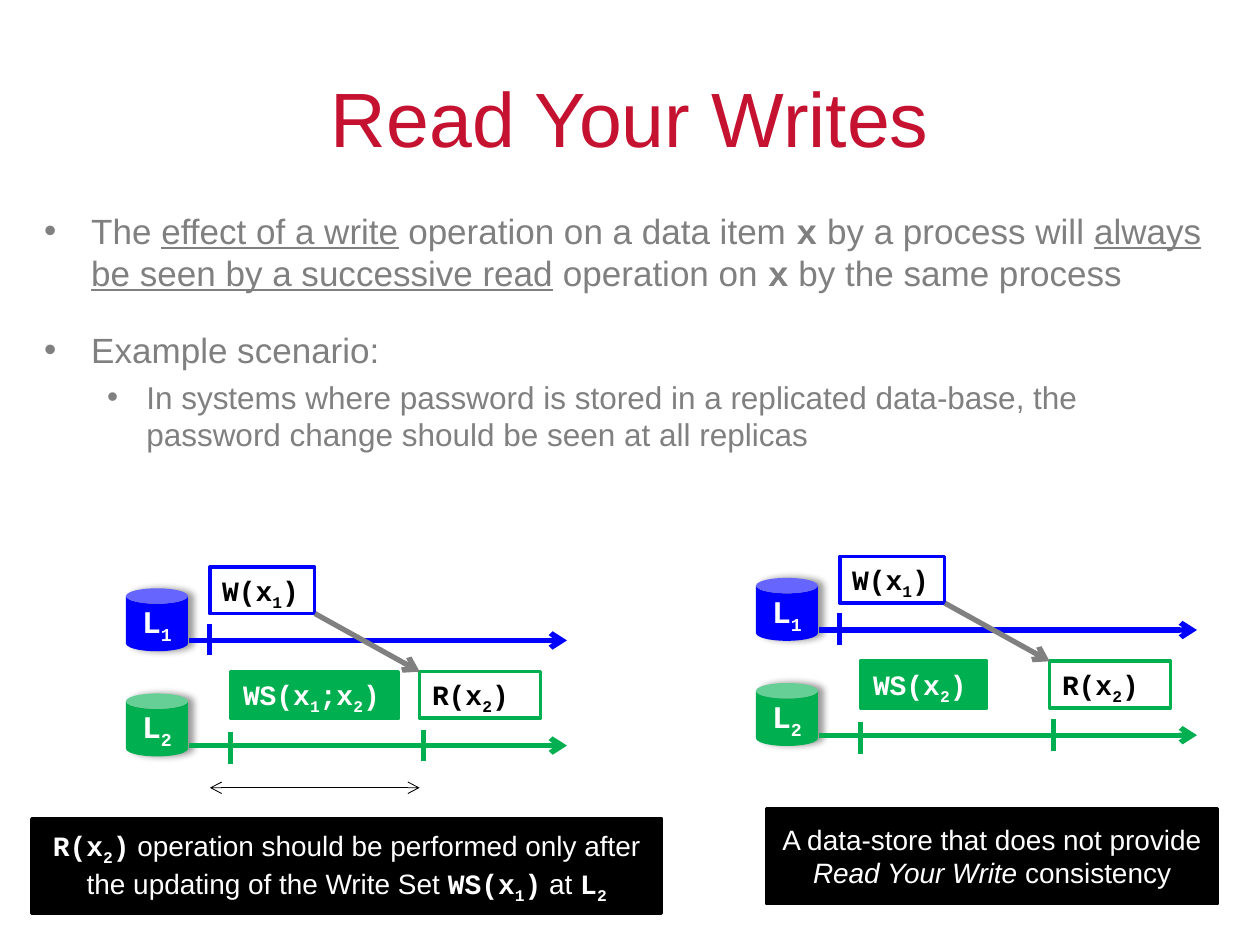
from lxml import etree
from pptx import Presentation
from pptx import util as u
from pptx.dml.color import RGBColor
from pptx.enum import shapes, text
from pptx.oxml import parse_xml
from pptx.oxml.ns import nsdecls, qn

RED = RGBColor(0xC4, 0x12, 0x30)
GRAY = RGBColor(0x80, 0x80, 0x80)
BLUE = RGBColor(0x00, 0x00, 0xFF)
GREEN = RGBColor(0x00, 0xB0, 0x50)
BLACK = RGBColor(0x00, 0x00, 0x00)
WHITE = RGBColor(0xFF, 0xFF, 0xFF)
SANS, MONO = "Arial", "Courier New"


def add_text(paragraph, content, size=16, color=BLACK, font=SANS, bold=False,
             italic=False, underline=False):
    """Add runs to a paragraph; an underscore makes the next character a subscript."""
    def add_run(part, subscript=False):
        if not part:
            return
        run = paragraph.add_run()
        run.text = part
        run.font.size = u.Pt(size)
        run.font.name = font
        run.font.bold = bold
        run.font.italic = italic
        run.font.underline = underline
        run.font.color.rgb = color
        if subscript:
            run._r.get_or_add_rPr().set("baseline", "-25000")

    first, *others = content.split("_")
    add_run(first)
    for other in others:
        add_run(other[0], subscript=True)
        add_run(other[1:])


def add_code(paragraph, content, **style):
    """Add bold monospaced text."""
    add_text(paragraph, content, font=MONO, bold=True, **style)


def add_bullet(paragraph, indent, hanging):
    """Give a paragraph a bullet with a hanging indent in centimetres."""
    properties = paragraph._p.get_or_add_pPr()
    properties.set("marL", str(u.Cm(indent)))
    properties.set("indent", str(-u.Cm(hanging)))
    etree.SubElement(properties, qn("a:buFont")).set("typeface", SANS)
    etree.SubElement(properties, qn("a:buChar")).set("char", "•")


def add_line(slide, start, end, color, width=3, head=False, tail=False):
    """Draw a straight line between two points, with optional arrowheads."""
    points = [u.Cm(value) for value in (*start, *end)]
    connector = slide.shapes.add_connector(shapes.MSO_CONNECTOR.STRAIGHT, *points)
    connector.line.color.rgb = color
    connector.line.width = u.Pt(width)
    line = connector.line._get_or_add_ln()
    for wanted, tag in ((head, "a:headEnd"), (tail, "a:tailEnd")):
        if wanted:
            etree.SubElement(line, qn(tag)).set("type", "arrow")
    etree.SubElement(connector._element.spPr, qn("a:effectLst"))


def add_block(slide, kind, left, top, width, height, fill, line=None):
    """Draw a filled shape and return it."""
    shape = slide.shapes.add_shape(kind, *map(u.Cm, (left, top, width, height)))
    shape.shadow.inherit = False
    shape.fill.solid()
    shape.fill.fore_color.rgb = fill
    if line is None:
        shape.line.fill.background()
    else:
        shape.line.color.rgb = line
        shape.line.width = u.Pt(2)
    return shape


def add_store(slide, left, top, label, color):
    """Draw a data store as a can with a soft shadow."""
    shape = add_block(slide, shapes.MSO_SHAPE.CAN, left, top, 1.25, 1.27, color)
    effects = shape._element.spPr.find(qn("a:effectLst"))
    effects.append(parse_xml(
        f'<a:outerShdw {nsdecls("a")} blurRad="{u.Pt(4)}" dist="{u.Pt(3)}" dir="0">'
        '<a:srgbClr val="000000"><a:alpha val="40000"/></a:srgbClr></a:outerShdw>'))
    frame = shape.text_frame
    frame.margin_left = frame.margin_right = 0
    frame.vertical_anchor = text.MSO_ANCHOR.MIDDLE
    frame.paragraphs[0].alignment = text.PP_ALIGN.CENTER
    add_code(frame.paragraphs[0], label, size=18, color=WHITE)


def add_operation(slide, left, top, width, label, line, fill=WHITE, color=BLACK):
    """Draw a box that names an operation."""
    shape = add_block(slide, shapes.MSO_SHAPE.RECTANGLE, left, top, width, 0.94, fill, line)
    frame = shape.text_frame
    frame.margin_right = 0
    frame.vertical_anchor = text.MSO_ANCHOR.TOP
    frame.paragraphs[0].alignment = text.PP_ALIGN.LEFT
    add_code(frame.paragraphs[0], label, color=color)


def add_scenario(slide, left, top, write_set, write_set_width):
    """Draw two stores, their timelines and the operations on them."""
    for row, (label, color) in enumerate((("L_1", BLUE), ("L_2", GREEN))):
        shift = top + row * 2.12
        add_store(slide, left, shift + 0.43, label, color)
        add_line(slide, (left + 1.27, shift + 1.48), (left + 8.89, shift + 1.48),
                 color, tail=True)
    add_operation(slide, left + 2.11, top + 2.11, write_set_width, write_set, GREEN,
                  fill=GREEN, color=WHITE)
    add_operation(slide, left + 5.92, top + 2.11, 2.44, "R(x_2)", GREEN)
    add_operation(slide, left + 1.69, top, 2.11, "W(x_1)", BLUE)
    for x, y, color in ((1.69, 1.14, BLUE), (2.11, 3.33, GREEN), (5.99, 3.28, GREEN)):
        add_line(slide, (left + x, top + y + 0.64), (left + x, top + y), color)
    add_line(slide, (left + 3.81, top + 0.94), (left + 5.92, top + 2.11), GRAY, tail=True)


def add_caption(slide, left, top, width):
    """Draw a black caption box and return its centred paragraph."""
    shape = add_block(slide, shapes.MSO_SHAPE.RECTANGLE, left, top, width, 1.91, BLACK, BLACK)
    shape.text_frame.vertical_anchor = text.MSO_ANCHOR.MIDDLE
    paragraph = shape.text_frame.paragraphs[0]
    paragraph.alignment = text.PP_ALIGN.CENTER
    return paragraph


def add_title(slide, left, top, width, height):
    """Place and format the title."""
    title = slide.shapes.title
    title.left, title.top, title.width, title.height = map(u.Cm, (left, top, width, height))
    title.text_frame.vertical_anchor = text.MSO_ANCHOR.MIDDLE
    paragraph = title.text_frame.paragraphs[0]
    paragraph.alignment = text.PP_ALIGN.CENTER
    add_text(paragraph, "Read Your Writes", size=44, color=RED)


def add_body(slide, left, top, width, height):
    """Write the bulleted definition and its example."""
    frame = slide.shapes.add_textbox(*map(u.Cm, (left, top, width, height))).text_frame
    frame.word_wrap = True
    style = {"size": 20, "color": GRAY}
    definition = frame.paragraphs[0]
    add_bullet(definition, 0.95, 0.95)
    add_text(definition, "The ", **style)
    add_text(definition, "effect of a write", underline=True, **style)
    add_text(definition, " operation on a data item ", **style)
    add_code(definition, "x", **style)
    add_text(definition, " by a process will ", **style)
    add_text(definition, "always be seen by a successive read", underline=True, **style)
    add_text(definition, " operation on ", **style)
    add_code(definition, "x", **style)
    add_text(definition, " by the same process", **style)

    heading = frame.add_paragraph()
    heading.space_before = u.Pt(20)
    add_bullet(heading, 0.95, 0.95)
    add_text(heading, "Example scenario:", **style)

    example = frame.add_paragraph()
    example.space_before = u.Pt(4)
    add_bullet(example, 2.06, 0.79)
    add_text(example, "In systems where password is stored in a replicated data-base, "
             "the password change should be seen at all replicas", size=18, color=GRAY)


def add_consistent_example(slide, left, top):
    """Draw the scenario that keeps the guarantee, with its caption."""
    add_scenario(slide, left, top, "WS(x_1;x_2)", 3.39)
    add_line(slide, (left + 1.69, top + 4.45), (left + 5.92, top + 4.45), BLACK,
             width=0.5, head=True, tail=True)
    caption = add_caption(slide, left - 1.9, top + 5.08, 12.7)
    add_code(caption, "R(x_2)", color=WHITE)
    add_text(caption, " operation should be performed only after the updating "
             "of the Write Set ", color=WHITE)
    add_code(caption, "WS(x_1)", color=WHITE)
    add_text(caption, " at ", color=WHITE)
    add_code(caption, "L_2", color=WHITE)


def add_inconsistent_example(slide, left, top):
    """Draw the scenario that breaks the guarantee, with its caption."""
    add_scenario(slide, left, top, "WS(x_2)", 2.54)
    caption = add_caption(slide, left + 0.21, top + 5.08, 9.1)
    add_text(caption, "A data-store that does not provide ", color=WHITE)
    add_text(caption, "Read Your Write", color=WHITE, italic=True)
    add_text(caption, " consistency", color=WHITE)


def main():
    """Build the presentation and save it."""
    presentation = Presentation()
    presentation.slide_width, presentation.slide_height = u.Cm(25.4), u.Cm(19.05)
    slide = presentation.slides.add_slide(presentation.slide_layouts[5])
    add_title(slide, 1.27, 0.76, 22.86, 3.18)
    add_body(slide, 0.64, 4.1, 23.93, 12.57)
    add_consistent_example(slide, 2.54, 11.43)
    add_inconsistent_example(slide, 15.24, 11.22)
    presentation.save("out.pptx")


if __name__ == "__main__":
    main()
